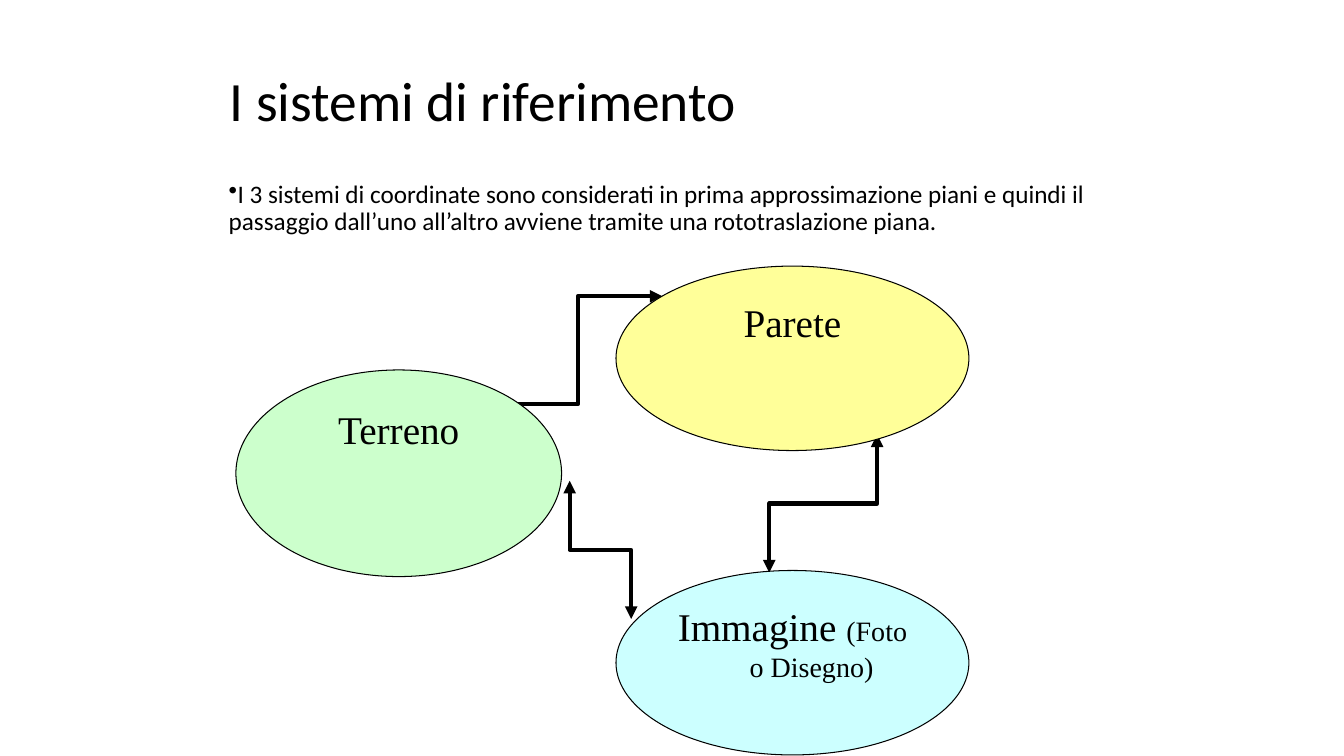
from dataclasses import dataclass

from lxml import etree
from pptx import Presentation
from pptx import util as u
from pptx.dml.color import RGBColor
from pptx.enum import shapes, text
from pptx.oxml.ns import qn


@dataclass(frozen=True)
class Theme:
    """Colours, fonts and type sizes of the slide."""
    ink: str = "000000"
    parete: str = "FFFF99"
    terreno: str = "CCFFCC"
    immagine: str = "CCFFFF"
    heading_font: str = "Calibri"
    label_font: str = "Times New Roman"
    title: float = 39.6
    body: float = 18
    label: float = 28
    detail: float = 20


class Diagram:
    """Draws the elements of one slide in a given theme."""

    def __init__(self, page, theme):
        self.page = page
        self.theme = theme

    def span(self, para, words, size, font):
        """Add one styled run to a paragraph."""
        span = para.add_run()
        span.text = words
        span.font.size = u.Pt(size)
        span.font.name = font
        span.font.color.rgb = RGBColor.from_string(self.theme.ink)

    def text_box(self, place, words, size, anchor, bullet=None):
        """Add a wrapped text box with one paragraph."""
        box = self.page.shapes.add_textbox(*map(u.Inches, place))
        frame = box.text_frame
        frame.word_wrap = True
        frame.vertical_anchor = anchor
        para = frame.paragraphs[0]
        para.line_spacing = 0.9
        if bullet:
            etree.SubElement(para._p.get_or_add_pPr(), qn("a:buChar"), char=bullet)
        self.span(para, words, size, self.theme.heading_font)

    def elbow(self, start, end, vertical=False):
        """Add a double-headed elbow arrow, leaving sideways or vertically."""
        points = (start, end)
        if vertical:
            middle_x = (start[0] + end[0]) / 2
            middle_y = (start[1] + end[1]) / 2
            points = [(middle_x - y + middle_y, middle_y + x - middle_x)
                      for x, y in points]
        lengths = [u.Inches(value) for point in points for value in point]
        arrow = self.page.shapes.add_connector(shapes.MSO_CONNECTOR.ELBOW, *lengths)
        arrow.line.width = u.Pt(3)
        arrow.line.color.rgb = RGBColor.from_string(self.theme.ink)
        properties = arrow._element.spPr
        if vertical:
            properties.find(qn("a:xfrm")).set("rot", str(270 * 60000))
        line = properties.find(qn("a:ln"))
        for tip in ("a:headEnd", "a:tailEnd"):
            etree.SubElement(line, qn(tip), type="triangle")
        etree.SubElement(properties, qn("a:effectLst"))

    def ellipse(self, place, fill, spans):
        """Add a labelled ellipse with a thin outline."""
        oval = self.page.shapes.add_shape(
            shapes.MSO_SHAPE.OVAL, *map(u.Inches, place))
        oval.shadow.inherit = False
        oval.fill.solid()
        oval.fill.fore_color.rgb = RGBColor.from_string(fill)
        oval.line.color.rgb = RGBColor.from_string(self.theme.ink)
        oval.line.width = u.Pt(0.75)
        frame = oval.text_frame
        frame.word_wrap = True
        frame.vertical_anchor = text.MSO_ANCHOR.TOP
        para = frame.paragraphs[0]
        para.alignment = text.PP_ALIGN.CENTER
        hanging = u.Inches(0.38)
        properties = para._p.get_or_add_pPr()
        properties.set("marL", str(hanging))
        properties.set("indent", str(-hanging))
        for words, size in spans:
            self.span(para, words, size, self.theme.label_font)


def main():
    """Build the slide and save it."""
    deck = Presentation()
    deck.slide_width = u.Inches(13.33)
    deck.slide_height = u.Inches(7.5)
    theme = Theme()
    diagram = Diagram(deck.slides.add_slide(deck.slide_layouts[6]), theme)

    diagram.text_box((2.18, 0.68, 9, 0.7), "I sistemi di riferimento",
                     theme.title, text.MSO_ANCHOR.MIDDLE)
    diagram.text_box(
        (2.17, 1.75, 9, 1),
        "I 3 sistemi di coordinate sono considerati in prima approssimazione "
        "piani e quindi il passaggio dall’uno all’altro avviene tramite una "
        "rototraslazione piana.",
        theme.body, text.MSO_ANCHOR.TOP, bullet="•")

    diagram.elbow((4.89, 4.01), (6.57, 2.94))
    diagram.elbow((5.65, 4.77), (6.26, 6.14), vertical=True)
    diagram.elbow((7.63, 5.68), (8.7, 4.31), vertical=True)

    diagram.ellipse((6.11, 5.66, 3.5, 1.83), theme.immagine,
                    [("Immagine ", theme.label), ("(Foto o Disegno)", theme.detail)])
    diagram.ellipse((6.11, 2.64, 3.5, 1.83), theme.parete,
                    [("Parete", theme.label)])
    diagram.ellipse((2.34, 3.67, 3.23, 2.05), theme.terreno,
                    [("Terreno", theme.label)])
    deck.save("out.pptx")


if __name__ == "__main__":
    main()
